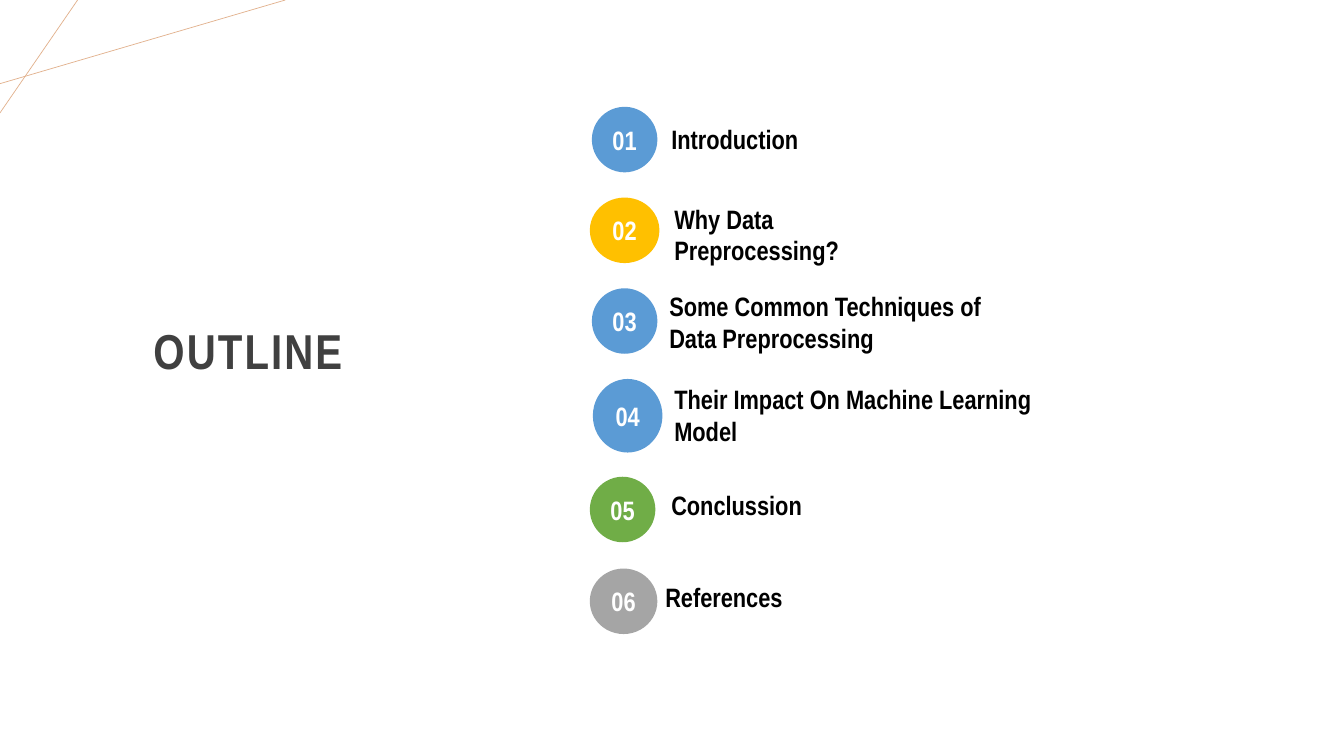
from dataclasses import dataclass

from lxml.etree import SubElement
from pptx import Presentation
from pptx.dml.color import RGBColor
from pptx.enum.shapes import MSO_CONNECTOR, MSO_SHAPE
from pptx.enum.text import MSO_ANCHOR, MSO_AUTO_SIZE, PP_ALIGN
from pptx.oxml.ns import qn
from pptx.util import Inches, Pt


@dataclass(frozen=True)
class Theme:
    font: str = "Arial Narrow"
    title: str = "404040"
    text: str = "000000"
    light: str = "FFFFFF"
    line: str = "E2B18D"
    blue: str = "5B9BD5"
    gold: str = "FFC000"
    green: str = "70AD47"
    gray: str = "A5A5A5"
    head: int = 35
    body: int = 19
    hair: float = 0.5


THEME = Theme()

# Label, badge colour, badge box, label box
ITEMS = [
    ("Introduction", THEME.blue, (5.87, 1.06, 0.65, 0.65), (6.56, 1.2, 2.17, 0.36)),
    ("Why Data Preprocessing?", THEME.gold,
     (5.85, 1.96, 0.69, 0.65), (6.59, 2.14, 2.29, 0.37)),
    ("Some Common Techniques of Data Preprocessing", THEME.blue,
     (5.87, 2.86, 0.65, 0.65), (6.54, 3.01, 3.77, 0.36)),
    ("Their Impact On Machine Learning Model", THEME.blue,
     (5.88, 3.76, 0.69, 0.73), (6.59, 3.94, 3.77, 0.36)),
    ("Conclussion", THEME.green, (5.85, 4.73, 0.65, 0.65), (6.56, 4.83, 2.17, 0.36)),
    ("References", THEME.gray, (5.85, 5.64, 0.67, 0.65), (6.5, 5.74, 2.17, 0.36)),
]

RAYS = [(0, 0.83, 2.83, 0), (0.77, 0, 0, 1.12)]


def inches(box):
    return [Inches(n) for n in box]


def apply(target, values):
    for name, value in values.items():
        setattr(target, name, value)


def write(shape, text, size, color, align):
    """Put one formatted paragraph in the shape and return its run."""
    frame = shape.text_frame
    pad = Inches(0.1)
    apply(frame, {
        "word_wrap": True, "auto_size": MSO_AUTO_SIZE.NONE,
        "vertical_anchor": MSO_ANCHOR.MIDDLE,
        "margin_left": pad, "margin_right": pad,
        "margin_top": pad, "margin_bottom": pad,
    })
    para = frame.paragraphs[0]
    para.alignment = align
    run = para.add_run()
    run.text = text
    apply(run.font, {"name": THEME.font, "size": Pt(size), "bold": True})
    run.font.color.rgb = RGBColor.from_string(color)
    return run


def add_ray(slide, ends):
    ray = slide.shapes.add_connector(MSO_CONNECTOR.STRAIGHT, *inches(ends))
    ray.line.width = Pt(THEME.hair)
    ray.line.color.rgb = RGBColor.from_string(THEME.line)
    SubElement(ray._element.spPr, qn("a:effectLst"))


def add_title(slide, text, box):
    title = slide.shapes.title
    apply(title, dict(zip(("left", "top", "width", "height"), inches(box))))
    run = write(title, text, THEME.head, THEME.title, PP_ALIGN.CENTER)
    title.text_frame.paragraphs[0].line_spacing = 0.9
    run.font._element.set("spc", "150")


def add_badge(slide, text, color, box):
    badge = slide.shapes.add_shape(MSO_SHAPE.OVAL, *inches(box))
    badge.shadow.inherit = False
    badge.fill.solid()
    badge.fill.fore_color.rgb = RGBColor.from_string(color)
    badge.line.fill.background()
    write(badge, text, THEME.body, THEME.light, PP_ALIGN.CENTER)


def add_label(slide, text, box):
    label = slide.shapes.add_textbox(*inches(box))
    write(label, text, THEME.body, THEME.text, PP_ALIGN.LEFT)


def main():
    deck = Presentation()
    apply(deck, {"slide_width": Inches(13.33), "slide_height": Inches(7.5)})
    slide = deck.slides.add_slide(deck.slide_layouts[5])
    for ends in RAYS:
        add_ray(slide, ends)
    add_title(slide, "OUTLINE", (1, 2.75, 2.92, 1.51))
    for count, (text, color, disc, box) in enumerate(ITEMS, 1):
        add_badge(slide, f"{count:02}", color, disc)
        add_label(slide, text, box)
    deck.save("out.pptx")


if __name__ == "__main__":
    main()
